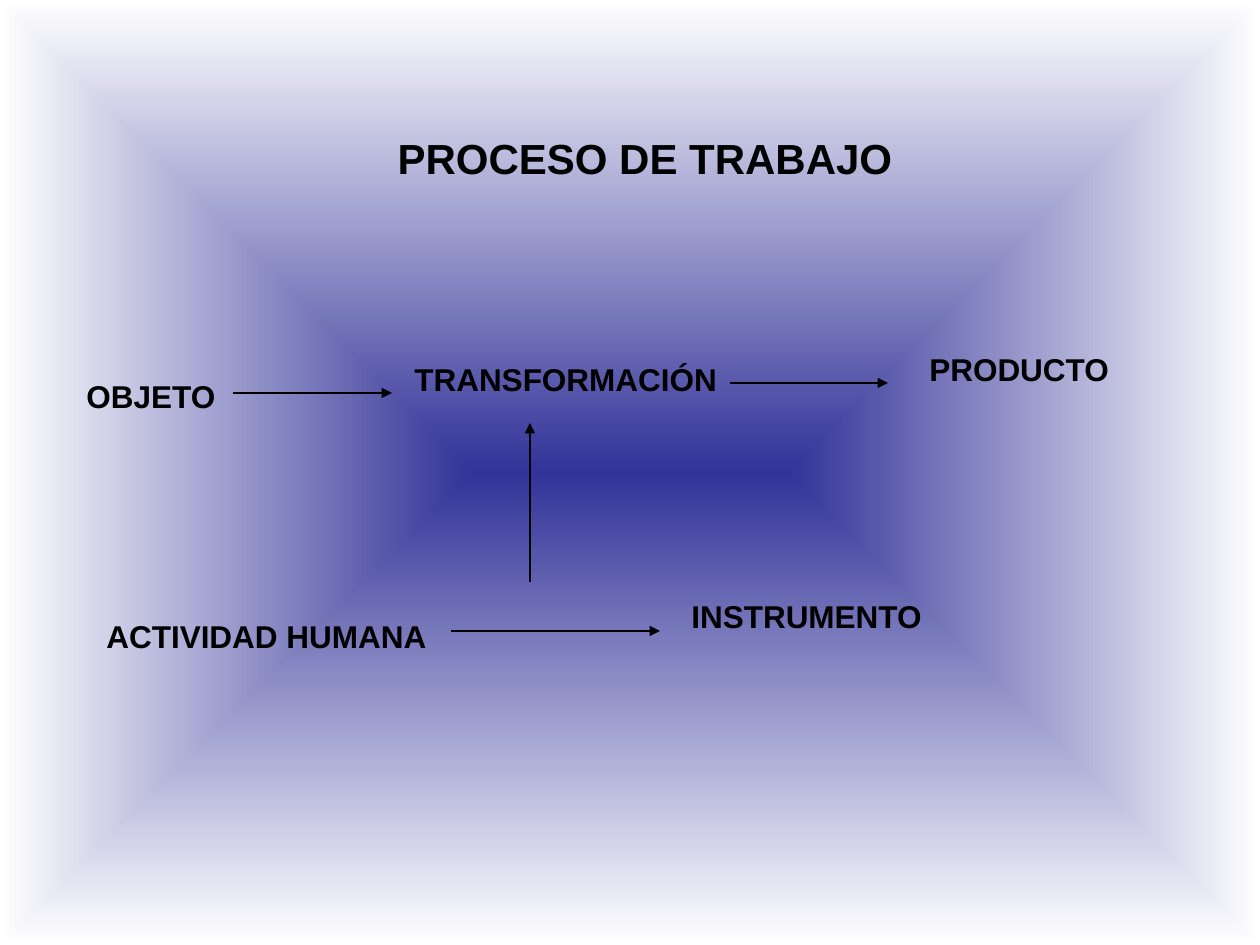
"""Build the work process diagram slide."""
from dataclasses import dataclass

from lxml.etree import SubElement
from pptx import Presentation
from pptx.dml.color import RGBColor
from pptx.enum.shapes import MSO_CONNECTOR
from pptx.enum.text import PP_ALIGN
from pptx.oxml.ns import qn
from pptx.util import Pt

PX = 914400 // 126
SLIDE_SIZE = (1260, 945)


@dataclass(frozen=True)
class Theme:
    font: str = "Arial"
    ink: RGBColor = RGBColor(0, 0, 0)
    center: RGBColor = RGBColor(0x33, 0x33, 0x99)
    edge: RGBColor = RGBColor(0xFF, 0xFF, 0xFF)
    title_size: int = 24
    label_size: int = 18
    object_gap: int = 111
    arrow_width: float = 0.75


THEME = Theme()

LABELS = [
    (("PROCESO DE TRABAJO", "OBJETO"), (74, 126, 1142, 291)),
    (("TRANSFORMACIÓN",), (402, 354, 824, 50)),
    (("PRODUCTO",), (917, 344, 343, 166)),
    (("ACTIVIDAD HUMANA",), (94, 611, 417, 50)),
    (("INSTRUMENTO",), (679, 591, 546, 50)),
]

ARROWS = [
    ((233, 393), (392, 393)),
    ((730, 383), (888, 383)),
    ((451, 631), (660, 631)),
    ((530, 582), (530, 423)),
]


def paint_background(slide):
    fill = slide.background.fill
    fill.gradient()
    for stop, color in zip(fill.gradient_stops, (THEME.center, THEME.edge)):
        stop.color.rgb = color
    gradient = slide.element.find(".//" + qn("a:gradFill"))
    gradient.remove(gradient.find(qn("a:lin")))
    spread = SubElement(gradient, qn("a:path"), {"path": "rect"})
    SubElement(spread, qn("a:fillToRect"), dict.fromkeys("ltrb", "50000"))


def add_label(slide, lines, box):
    frame = slide.shapes.add_textbox(*(n * PX for n in box)).text_frame
    frame.word_wrap = True
    frame.text = "\n".join(lines)
    for paragraph in frame.paragraphs:
        font = paragraph.runs[0].font
        font.name = THEME.font
        font.size = Pt(THEME.label_size)
        font.bold = True
        font.color.rgb = THEME.ink
    return frame


def add_arrow(slide, start, end):
    points = (n * PX for n in start + end)
    arrow = slide.shapes.add_connector(MSO_CONNECTOR.STRAIGHT, *points)
    arrow.line.color.rgb = THEME.ink
    arrow.line.width = Pt(THEME.arrow_width)
    SubElement(arrow.line._get_or_add_ln(), qn("a:tailEnd"), {"type": "triangle"})
    SubElement(arrow._element.spPr, qn("a:effectLst"))


def main():
    deck = Presentation()
    deck.slide_width, deck.slide_height = (n * PX for n in SLIDE_SIZE)
    slide = deck.slides.add_slide(deck.slide_layouts[6])
    paint_background(slide)
    frames = [add_label(slide, lines, box) for lines, box in LABELS]
    title, work_object = frames[0].paragraphs
    title.alignment = PP_ALIGN.CENTER
    title.runs[0].font.size = Pt(THEME.title_size)
    work_object.space_before = Pt(THEME.object_gap)
    for start, end in ARROWS:
        add_arrow(slide, start, end)
    deck.save("out.pptx")


if __name__ == "__main__":
    main()
